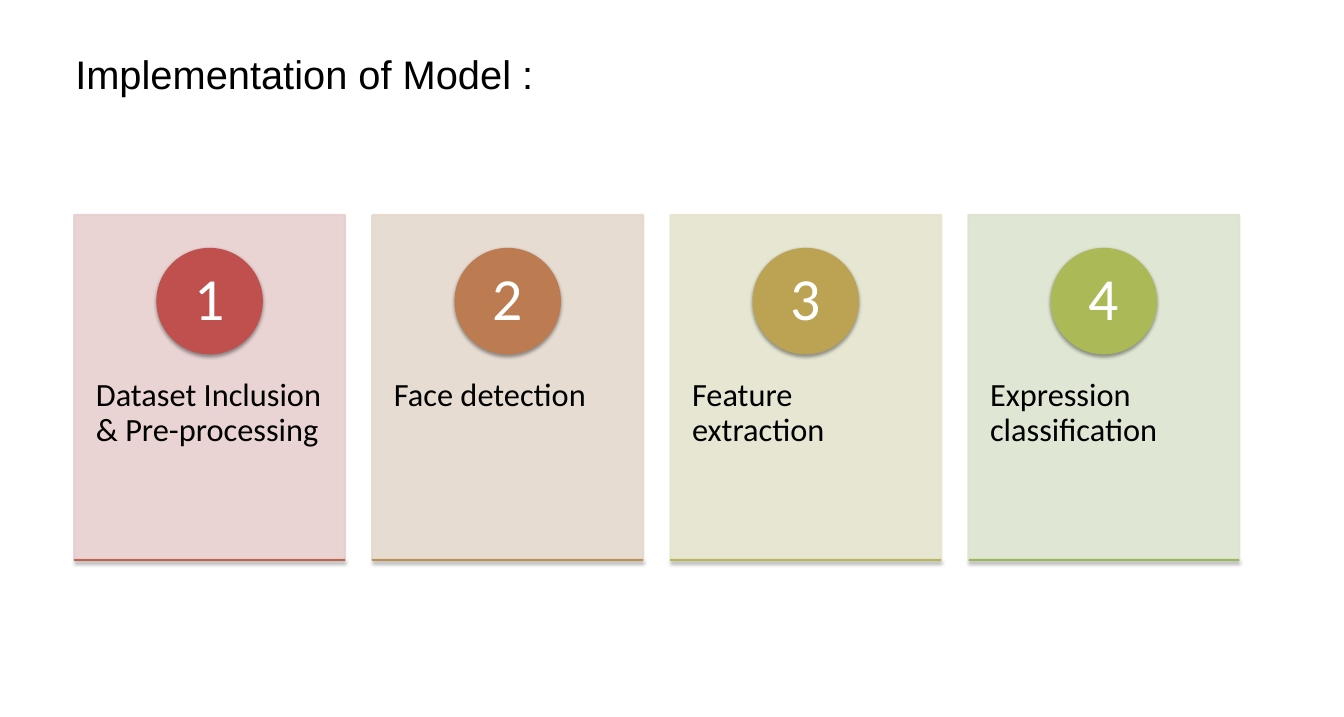
from dataclasses import dataclass

from lxml import etree
from pptx import Presentation
from pptx.dml.color import RGBColor
from pptx.enum.shapes import MSO_CONNECTOR, MSO_SHAPE
from pptx.enum.text import MSO_ANCHOR, MSO_AUTO_SIZE, PP_ALIGN
from pptx.oxml.ns import qn
from pptx.util import Inches, Pt

RECTANGLE, OVAL = MSO_SHAPE.RECTANGLE, MSO_SHAPE.OVAL
STRAIGHT = MSO_CONNECTOR.STRAIGHT
TOP, MIDDLE = MSO_ANCHOR.TOP, MSO_ANCHOR.MIDDLE
LEFT, CENTER = PP_ALIGN.LEFT, PP_ALIGN.CENTER
NO_AUTOFIT = MSO_AUTO_SIZE.NONE

TITLE = "Implementation of Model :"
STEPS = [
    ("Dataset Inclusion & Pre-processing", "E7CFCF", "BF504D", "BD654E"),
    ("Face detection", "E5D9CE", "BC7B50", "BB9052"),
    ("Feature extraction", "E4E4CF", "BBA353", "BAB655"),
    ("Expression classification", "DCE4CF", "ACB957", "99B958"),
]


@dataclass(frozen=True)
class Theme:
    title_font: str = "Arial"
    body_font: str = "Calibri"
    title_size: int = 32
    label_size: int = 26
    number_size: int = 48
    line_width: int = 2
    ink: str = "000000"
    number: str = "FFFFFF"
    card_opacity: int = 90
    shadow_opacity: int = 38


THEME = Theme()
FIRST_LEFT, LAST_LEFT = 0.83, 10.81
CARD_TOP, CARD_WIDTH, CARD_HEIGHT = 2.4, 3.02, 3.85
CIRCLE_TOP, CIRCLE_SIZE = 2.78, 1.16
LABEL_TOP, LABEL_HEIGHT = 3.86, 2.31


def box(left, top, width, height):
    return [Inches(value) for value in (left, top, width, height)]


def write(shape, text, font, size, color, margins, align=LEFT, anchor=TOP, spacing=0.9):
    frame = shape.text_frame
    frame.text = text
    frame.word_wrap = True
    frame.auto_size = NO_AUTOFIT
    frame.vertical_anchor = anchor
    frame.margin_left = frame.margin_right = Inches(margins[0])
    frame.margin_top = frame.margin_bottom = Inches(margins[1])
    paragraph = frame.paragraphs[0]
    paragraph.alignment = align
    paragraph.line_spacing = spacing
    run_font = paragraph.runs[0].font
    run_font.name = font
    run_font.size = Pt(size)
    run_font.color.rgb = RGBColor.from_string(color)


def set_line(shape, color):
    shape.line.color.rgb = RGBColor.from_string(color)
    shape.line.width = Pt(THEME.line_width)


def add_filled(slide, kind, bounds, color):
    shape = slide.shapes.add_shape(kind, *bounds)
    shape.shadow.inherit = False
    shape.fill.solid()
    shape.fill.fore_color.rgb = RGBColor.from_string(color)
    set_line(shape, color)
    return shape


def set_opacity(color_element, percent):
    etree.SubElement(color_element, qn("a:alpha"), val=str(percent * 1000))


def add_shadow(shape):
    properties = shape._element.spPr
    effects = properties.find(qn("a:effectLst"))
    if effects is None:
        effects = etree.SubElement(properties, qn("a:effectLst"))
    shadow = etree.SubElement(
        effects, qn("a:outerShdw"), blurRad=str(Pt(3.1)), dist=str(Pt(1.6)),
        dir="5400000", rotWithShape="0",
    )
    color = etree.SubElement(shadow, qn("a:srgbClr"), val=THEME.ink)
    set_opacity(color, THEME.shadow_opacity)


def add_step(slide, left, number, label, card_color, circle_color, rule_color):
    card = add_filled(slide, RECTANGLE, box(left, CARD_TOP, CARD_WIDTH, CARD_HEIGHT), card_color)
    for color in card._element.spPr.iter(qn("a:srgbClr")):
        set_opacity(color, THEME.card_opacity)

    label_box = slide.shapes.add_textbox(*box(left, LABEL_TOP, CARD_WIDTH, LABEL_HEIGHT))
    write(label_box, label, THEME.body_font, THEME.label_size, THEME.ink, (0.24, 0.36))

    circle_left = left + (CARD_WIDTH - CIRCLE_SIZE) / 2
    circle = add_filled(
        slide, OVAL, box(circle_left, CIRCLE_TOP, CIRCLE_SIZE, CIRCLE_SIZE), circle_color
    )
    add_shadow(circle)
    write(circle, str(number), THEME.body_font, THEME.number_size, THEME.number,
          (0.09, 0.01), CENTER, MIDDLE)

    bottom = CARD_TOP + CARD_HEIGHT
    rule = slide.shapes.add_connector(STRAIGHT, *box(left, bottom, left + CARD_WIDTH, bottom))
    set_line(rule, rule_color)
    add_shadow(rule)


def main():
    presentation = Presentation()
    presentation.slide_width = Inches(15)
    presentation.slide_height = Inches(8)
    slide = presentation.slides.add_slide(presentation.slide_layouts[5])

    title = slide.shapes.title
    title.left, title.top, title.width, title.height = box(0.74, 0.5, 7.5, 0.64)
    write(title, TITLE, THEME.title_font, THEME.title_size, THEME.ink, (0.1, 0.05), spacing=1.0)

    pitch = (LAST_LEFT - FIRST_LEFT) / (len(STEPS) - 1)
    for index, step in enumerate(STEPS):
        add_step(slide, FIRST_LEFT + index * pitch, index + 1, *step)

    presentation.save("out.pptx")


if __name__ == "__main__":
    main()
